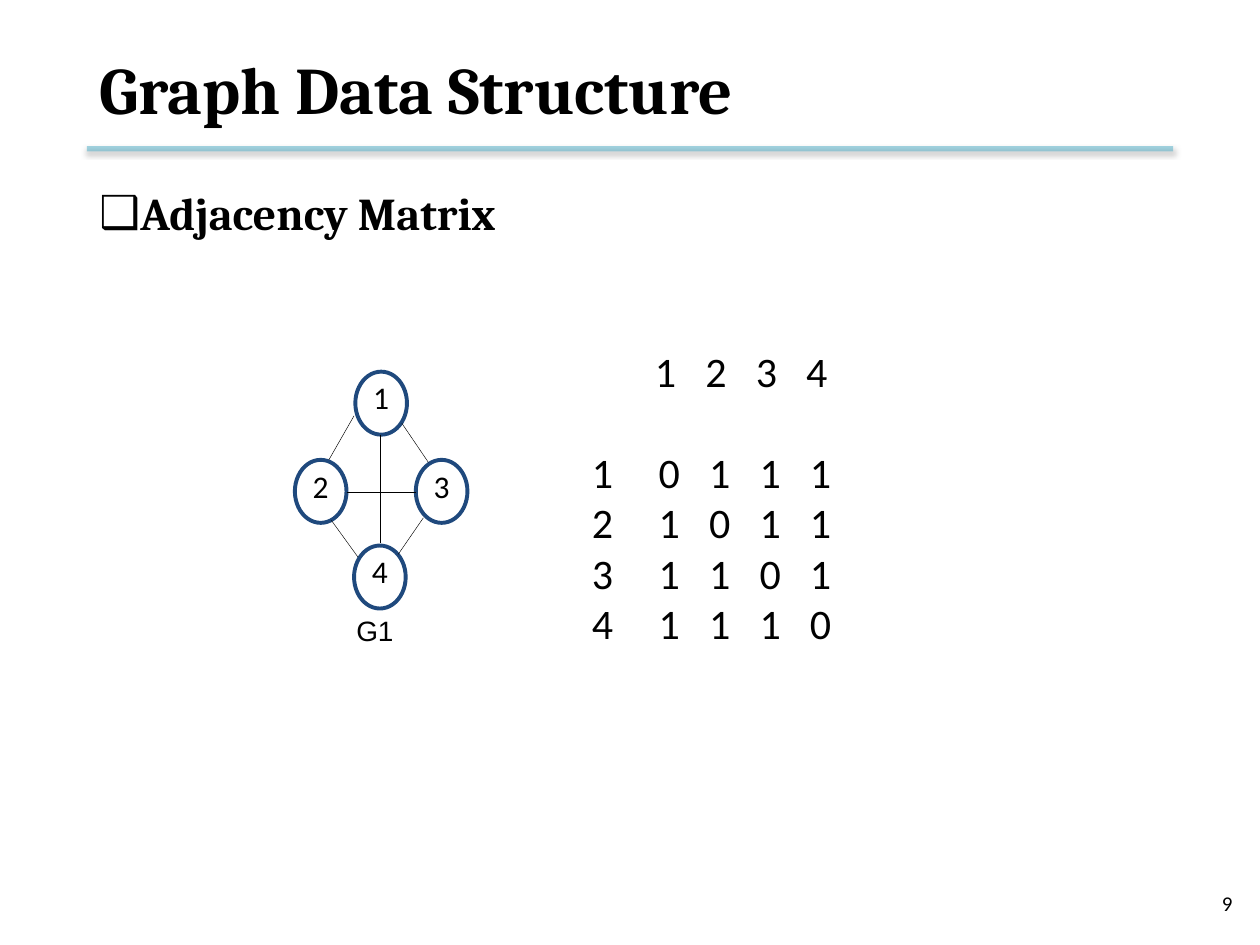
from lxml import etree
from pptx import Presentation
from pptx.dml.color import RGBColor
from pptx.enum import shapes, text
from pptx.oxml import parse_xml
from pptx.oxml.ns import nsdecls, qn
from pptx.util import Inches, Pt

BLACK, NAVY, TEAL = "000000", "1F497D", "4BACC6"


def write(box, lines, font="Calibri", size=18, bold=False, align="LEFT",
          anchor="TOP", wrap=True, spacing=None, inset=None):
    """Fill a shape with one paragraph per line and return the paragraphs."""
    frame = box.text_frame
    frame.text = lines
    frame.word_wrap = wrap
    frame.vertical_anchor = getattr(text.MSO_ANCHOR, anchor)
    if inset is not None:
        frame.margin_left = frame.margin_right = Inches(inset)
        frame.margin_top = frame.margin_bottom = Inches(inset)
    for para in frame.paragraphs:
        para.alignment = getattr(text.PP_ALIGN, align)
        para.line_spacing = spacing
        for span in para.runs:
            span.font.name, span.font.size, span.font.bold = font, Pt(size), bold
            span.font.color.rgb = RGBColor.from_string(BLACK)
    return frame.paragraphs


def draw_line(page, x1, y1, x2, y2, color, width):
    """Add a straight line without a shadow and return it."""
    line = page.shapes.add_connector(shapes.MSO_CONNECTOR.STRAIGHT, Inches(x1),
                                     Inches(y1), Inches(x2), Inches(y2))
    line.line.color.rgb = RGBColor.from_string(color)
    line.line.width = Pt(width)
    etree.SubElement(line._element.spPr, qn("a:effectLst"))
    return line


deck = Presentation()
deck.slide_width, deck.slide_height = Inches(10), Inches(7.5)
page = deck.slides.add_slide(deck.slide_layouts[5])

# Title with a half-transparent, shadowed rule below it
title = page.shapes.title
title.left, title.top = Inches(0.69), Inches(0.17)
title.width, title.height = Inches(8.62), Inches(1.06)
write(title, "Graph Data Structure", font="Cambria", size=38, bold=True, anchor="MIDDLE")

rule = draw_line(page, 0.69, 1.18, 9.31, 1.18, TEAL, 3)
rule_format = rule._element.spPr
etree.SubElement(rule_format.find(".//" + qn("a:srgbClr")), qn("a:alpha"), val="50000")
rule_format.find(qn("a:effectLst")).append(parse_xml(
    f'<a:outerShdw {nsdecls("a")} blurRad="{Pt(3.1)}" dist="{Pt(1.6)}" dir="5400000" '
    f'rotWithShape="0"><a:srgbClr val="{BLACK}"><a:alpha val="38000"/></a:srgbClr>'
    '</a:outerShdw>'))

# Bulleted heading
heading = page.shapes.add_textbox(Inches(0.69), Inches(1.42), Inches(8.62), Inches(5.1))
para = write(heading, "Adjacency Matrix", font="Cambria", size=26, bold=True)[0]
bullet = para._p.get_or_add_pPr()
bullet.set("marL", str(Inches(0.25)))
bullet.set("indent", str(-Inches(0.25)))
etree.SubElement(bullet, qn("a:buFont"), typeface="Wingdings 2")
bullet[-1].set("typeface", "Arial")
etree.SubElement(bullet, qn("a:buChar"), char="❑")

# Adjacency matrix: every vertex is joined to every other one
vertices = range(1, 5)
rows = [["", *vertices]]
rows += [[row, *(int(row != column) for column in vertices)] for row in vertices]
matrix = page.shapes.add_textbox(Inches(4.6), Inches(2.69), Inches(2.74), Inches(3.4))
paras = write(matrix, "\n".join("\t".join(map(str, row)) for row in rows), size=24)
for number, para in enumerate(paras):
    first_column = 0.53 if number else 0.5
    tabs = etree.SubElement(para._p.get_or_add_pPr(), qn("a:tabLst"))
    for column in range(4):
        etree.SubElement(tabs, qn("a:tab"), algn="l",
                         pos=str(Inches(first_column + 0.4 * column)))
paras[1].space_before = Pt(29)

# Graph G1
nodes = {"1": (2.82, 2.95), "3": (3.3, 3.65), "4": (2.81, 4.33), "2": (2.34, 3.65)}
for label, (left, top) in nodes.items():
    node = page.shapes.add_shape(shapes.MSO_SHAPE.OVAL, Inches(left), Inches(top),
                                 Inches(0.41), Inches(0.5))
    node.shadow.inherit = False
    node.fill.background()
    node.line.color.rgb = RGBColor.from_string(NAVY)
    node.line.width = Pt(2.25)
    write(node, label, align="CENTER", spacing=0.96, inset=0)

edges = [(3.19, 3.36, 3.4, 3.67), (3.16, 4.4, 3.36, 4.11), (2.63, 4.13, 2.84, 4.42),
         (2.61, 3.65, 2.81, 3.3), (2.75, 3.91, 3.3, 3.91), (3.02, 3.45, 3.02, 4.31)]
for edge in edges:
    draw_line(page, *edge, BLACK, 0.25)

caption = page.shapes.add_textbox(Inches(2.73), Inches(4.82), Inches(0.56), Inches(0.37))
write(caption, "G1", font="Arial", size=16, anchor="MIDDLE", wrap=False)

page_number = page.shapes.add_textbox(Inches(7.55), Inches(6.97), Inches(2.33), Inches(0.4))
write(page_number, "9", size=12, align="RIGHT", anchor="MIDDLE")

deck.save("out.pptx")
